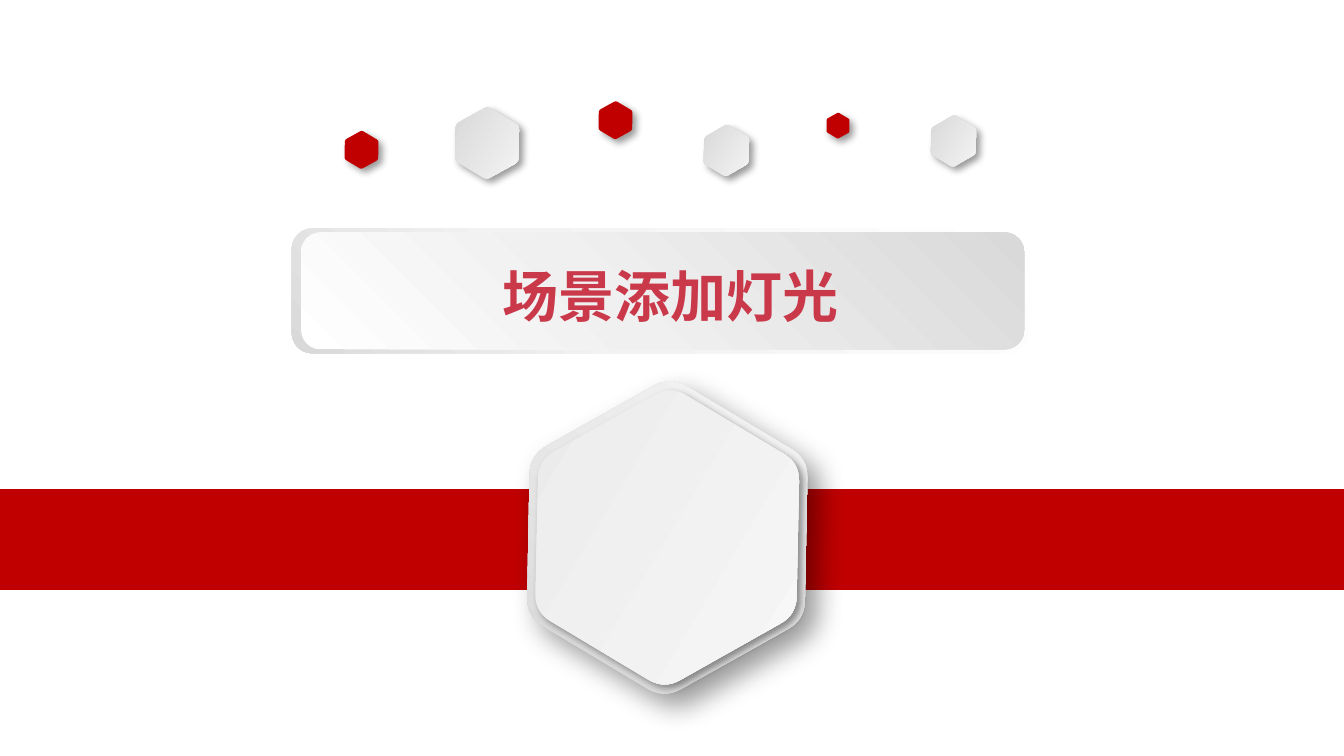
"""Build the section title slide with hexagon ornaments and a red band."""
import math

import pptx
import pptx.dml.color
import pptx.enum.shapes
import pptx.enum.text
import pptx.oxml
import pptx.oxml.ns
import pptx.util
from pptx.util import Inches

RED = pptx.dml.color.RGBColor(0xC0, 0x00, 0x00)
TITLE_RED = pptx.dml.color.RGBColor(0xC9, 0x39, 0x4A)
WHITE = pptx.dml.color.RGBColor(0xFF, 0xFF, 0xFF)
PALE = pptx.dml.color.RGBColor(0xF9, 0xF9, 0xF9)
MIST = pptx.dml.color.RGBColor(0xF2, 0xF2, 0xF2)
FOG = pptx.dml.color.RGBColor(0xF0, 0xF0, 0xF0)
LIGHT = pptx.dml.color.RGBColor(0xE9, 0xE9, 0xE9)
SILVER = pptx.dml.color.RGBColor(0xD9, 0xD9, 0xD9)
GREY = pptx.dml.color.RGBColor(0xD3, 0xD3, 0xD3)
BLACK = pptx.dml.color.RGBColor(0x00, 0x00, 0x00)

TILT = 30.9
CORNER = 0.12
CURVE_STEPS = 8
SOLID_RED = [(0, RED)]
GREY_FADE = [(0, GREY), (100, PALE)]
LIGHT_FADE = [(0, LIGHT), (100, PALE)]


def paint(shape, stops, clockwise=0, shadow=None):
    shape.line.fill.background()
    shape.shadow.inherit = False
    properties = shape._element.spPr
    ns = pptx.oxml.ns.nsdecls("a")
    if len(stops) == 1:
        shape.fill.solid()
        shape.fill.fore_color.rgb = stops[0][1]
    else:
        shape.fill.gradient()
        shape.fill.gradient_angle = (360 - clockwise) % 360
        stop_list = properties.find(".//" + pptx.oxml.ns.qn("a:gsLst"))
        for old_stop in list(stop_list):
            stop_list.remove(old_stop)
        for position, color in stops:
            stop_list.append(pptx.oxml.parse_xml(
                f'<a:gs {ns} pos="{position * 1000}"><a:srgbClr val="{color}"/></a:gs>'))
    if shadow:
        blur, distance = (pptx.util.Pt(length) for length in shadow)
        properties.find(pptx.oxml.ns.qn("a:effectLst")).append(pptx.oxml.parse_xml(
            f'<a:outerShdw {ns} blurRad="{blur}" dist="{distance}" dir="2700000" '
            f'algn="tl" rotWithShape="0"><a:srgbClr val="{BLACK}">'
            '<a:alpha val="40000"/></a:srgbClr></a:outerShdw>'))


def add_hexagon(left, top, width, height):
    side = height / math.sqrt(3)
    corners = [(side * math.cos(math.radians(60 * i)), side * math.sin(math.radians(60 * i)))
               for i in range(6)]
    outline = []
    for i, corner in enumerate(corners):
        start, end = ([c + CORNER * (n - c) for c, n in zip(corner, neighbour)]
                      for neighbour in (corners[i - 1], corners[(i + 1) % 6]))
        for step in range(CURVE_STEPS + 1):
            t = step / CURVE_STEPS
            outline.append([(1 - t) ** 2 * s + 2 * t * (1 - t) * c + t ** 2 * e
                            for s, c, e in zip(start, corner, end)])
    points = [(Inches(left + width / 2 + x), Inches(top + height / 2 + y)) for x, y in outline]
    builder = slide.shapes.build_freeform(*points[0])
    builder.add_line_segments(points[1:], close=True)
    hexagon = builder.convert_to_shape()
    placement = {"left": Inches(left), "top": Inches(top), "width": Inches(width),
                 "height": Inches(height), "rotation": TILT}
    for attribute, value in placement.items():
        setattr(hexagon, attribute, value)
    return hexagon


presentation = pptx.Presentation()
presentation.slide_width = Inches(10)
presentation.slide_height = Inches(10 * 9 / 16)
slide = presentation.slides.add_slide(presentation.slide_layouts[6])

band = slide.shapes.add_shape(pptx.enum.shapes.MSO_SHAPE.RECTANGLE,
                              Inches(0), Inches(3.64), Inches(10), Inches(0.75))
paint(band, SOLID_RED)

hexagons = [
    (3.36, 0.83, 0.53, 0.47, GREY_FADE, 0, (4, 3)),
    (4.44, 0.77, 0.28, 0.25, SOLID_RED, 0, (4, 3)),
    (2.55, 0.99, 0.28, 0.25, SOLID_RED, 0, (4, 3)),
    (5.22, 0.95, 0.37, 0.34, GREY_FADE, 0, (4, 3)),
    (6.14, 0.85, 0.19, 0.17, SOLID_RED, 0, (4, 3)),
    (6.91, 0.88, 0.37, 0.34, GREY_FADE, 0, (4, 3)),
    (3.81, 2.96, 2.31, 2.08, GREY_FADE, 270, (15, 9)),
    (3.88, 3.02, 2.17, 1.96, LIGHT_FADE, 0, (4, 3)),
]
for left, top, width, height, stops, angle, shadow in hexagons:
    paint(add_hexagon(left, top, width, height), stops, angle, shadow)

title_plates = [
    (2.17, 1.70, 5.48, 0.93, [(0, WHITE), (62, MIST), (100, SILVER)], 135),
    (2.24, 1.73, 5.38, 0.87, [(0, WHITE), (42, FOG), (100, SILVER)], 315),
]
for left, top, width, height, stops, angle in title_plates:
    plate = slide.shapes.add_shape(pptx.enum.shapes.MSO_SHAPE.ROUNDED_RECTANGLE,
                                   Inches(left), Inches(top), Inches(width), Inches(height))
    paint(plate, stops, angle)

title = slide.shapes.add_textbox(Inches(2.25), Inches(1.9), Inches(5.48), Inches(0.6))
title.text_frame.word_wrap = True
title.text_frame.auto_size = pptx.enum.text.MSO_AUTO_SIZE.SHAPE_TO_FIT_TEXT
heading = title.text_frame.paragraphs[0]
heading.alignment = pptx.enum.text.PP_ALIGN.CENTER
heading_run = heading.add_run()
heading_run.text = "场景添加灯光"
heading_format = {"size": pptx.util.Pt(30), "bold": True, "name": "Noto Sans CJK SC"}
for attribute, value in heading_format.items():
    setattr(heading_run.font, attribute, value)
heading_run.font.color.rgb = TITLE_RED
heading_run._r.get_or_add_rPr().append(pptx.oxml.parse_xml(
    f'<a:ea {pptx.oxml.ns.nsdecls("a")} typeface="{heading_format["name"]}"/>'))

presentation.save("out.pptx")
